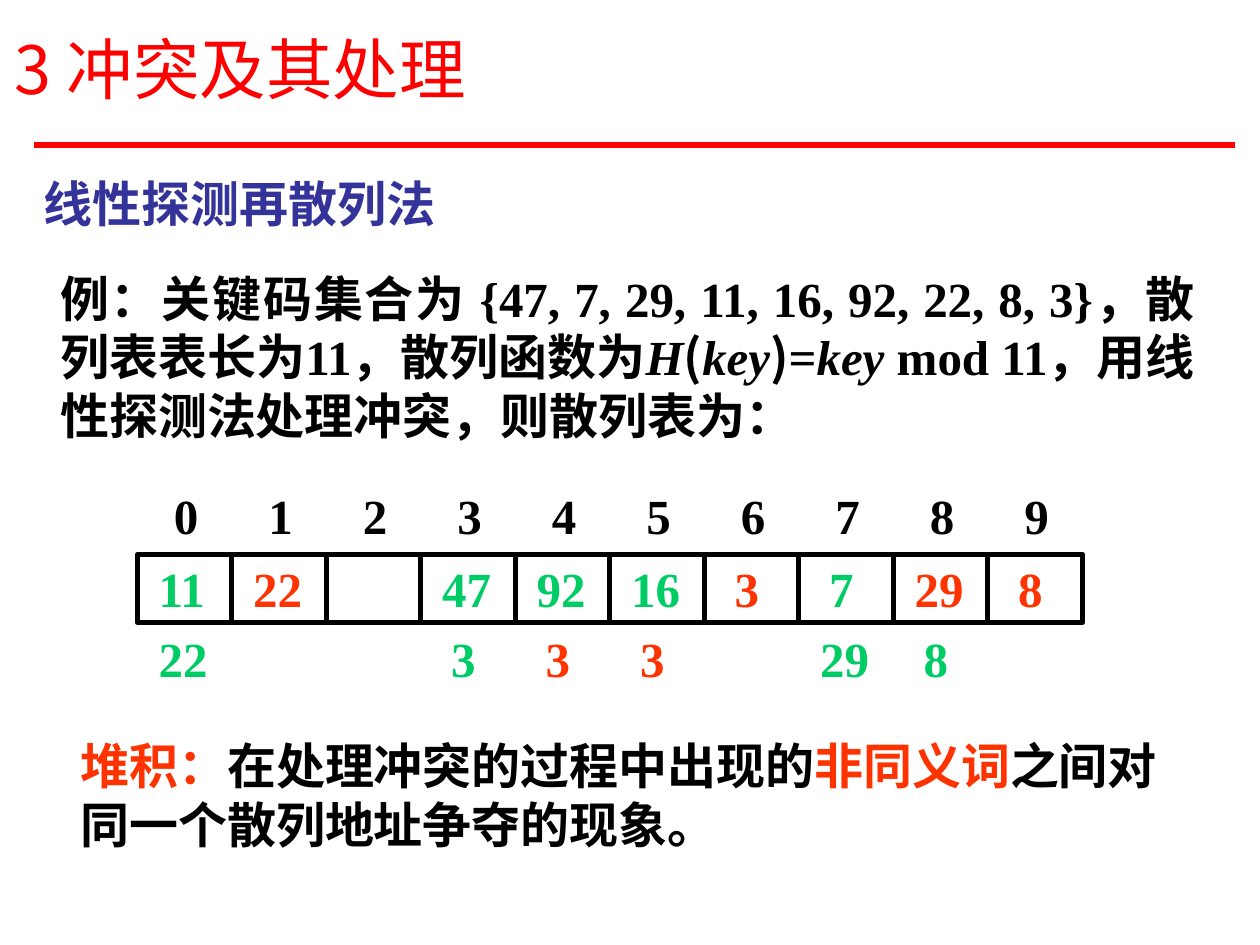
from lxml.etree import SubElement
from pptx import Presentation
from pptx.dml.color import RGBColor
from pptx.enum.shapes import MSO_CONNECTOR, MSO_SHAPE
from pptx.enum.text import MSO_ANCHOR, MSO_AUTO_SIZE, PP_ALIGN
from pptx.oxml.ns import qn
from pptx.util import Inches, Pt

COLORS = {"red": "FF0000", "navy": "333399", "black": "000000",
          "green": "00CC66", "orange": "FF3300"}
LATIN, CHINESE = "Times New Roman", "Noto Sans CJK SC"
BODY_SIZE, LINE_HEIGHT = 28, 33.6

# Runs: text, colour, font, italic
TITLE = [("3 冲突及其处理", "red", CHINESE, False)]
HEADING = [("线性探测再散列法", "navy", CHINESE, False)]
EXAMPLE = [
    ("例：关键码集合为 {47, 7, 29, 11, 16, 92, 22, 8, 3}，散列表表长为11，散列函",
     "black", LATIN, False),
    ("数为", "black", CHINESE, False),
    ("H", "black", LATIN, True),
    ("(", "black", CHINESE, False),
    ("key", "black", LATIN, True),
    (")", "black", CHINESE, False),
    ("=", "black", LATIN, False),
    ("key", "black", LATIN, True),
    (" mod 11", "black", LATIN, False),
    ("，用线性探测法处理冲突，则散列表为：", "black", CHINESE, False),
]
CLUSTERING = [
    ("堆积：", "orange", CHINESE, False),
    ("在处理冲突的过程中出现的", "black", LATIN, False),
    ("非同义词", "orange", LATIN, False),
    ("之间对", "black", LATIN, False),
    ("同一个散列地址争夺的现象", "black", CHINESE, False),
    ("。", "black", LATIN, False),
]

# Column: (value, colour)
STORED = {0: ("11", "green"), 1: ("22", "orange"), 3: ("47", "green"),
          4: ("92", "green"), 5: ("16", "green"), 6: ("3", "orange"),
          7: ("7", "green"), 8: ("29", "orange"), 9: ("8", "orange")}
COLLIDING = {0: ("22", "green"), 3: ("3", "green"), 4: ("3", "orange"),
             5: ("3", "orange"), 7: ("29", "green"), 8: ("8", "green")}

COLUMNS = 10
CELL_WIDTH, CELL_HEIGHT = 0.75, 0.54
TABLE_LEFT, TABLE_TOP = 1.09, 4.4
INDEX_TOP, STORED_TOP, COLLIDING_TOP = 3.85, 4.43, 4.99
DIGIT_WIDTH, VALUE_HEIGHT = 0.25, 0.47
INDEX_INDENT = 0.29
VALUE_INDENT = {1: 0.24, 2: 0.17}  # by number of digits


def color(name):
    return RGBColor.from_string(COLORS[name])


def add_text(slide, box, runs, size=BODY_SIZE, bold=True, margins=(0.1, 0.05),
             wrap=True, line_height=LINE_HEIGHT):
    """Add a one-paragraph text box made of styled runs and return it."""
    shape = slide.shapes.add_textbox(*map(Inches, box))
    frame = shape.text_frame
    frame.word_wrap = wrap
    frame.margin_left = frame.margin_right = Inches(margins[0])
    frame.margin_top = frame.margin_bottom = Inches(margins[1])
    paragraph = frame.paragraphs[0]
    if line_height:
        paragraph.line_spacing = Pt(line_height)
        frame.auto_size = MSO_AUTO_SIZE.SHAPE_TO_FIT_TEXT
    for text, color_name, font_name, italic in runs:
        run = paragraph.add_run()
        run.text = text
        run.font.size = Pt(size)
        run.font.bold = bold
        run.font.italic = italic
        run.font.name = font_name
        run.font.color.rgb = color(color_name)
        SubElement(run.font._element, qn("a:ea"), typeface=CHINESE)
    return shape


def add_rule(slide):
    rule = slide.shapes.add_connector(
        MSO_CONNECTOR.STRAIGHT, Inches(0.27), Inches(1.15), Inches(9.8), Inches(1.15))
    rule.line.color.rgb = color("red")
    rule.line.width = Pt(3)
    SubElement(rule._element.spPr, qn("a:effectLst"))


def add_cells(slide):
    for column in range(COLUMNS):
        cell = slide.shapes.add_shape(
            MSO_SHAPE.RECTANGLE, Inches(TABLE_LEFT + column * CELL_WIDTH),
            Inches(TABLE_TOP), Inches(CELL_WIDTH), Inches(CELL_HEIGHT))
        cell.shadow.inherit = False
        cell.fill.background()
        cell.line.color.rgb = color("black")
        cell.line.width = Pt(3)


def add_index_row(slide):
    """Write the column numbers as one line, with a tab stop per column."""
    numbers = "\t".join(str(column) for column in range(COLUMNS))
    shape = add_text(
        slide, (TABLE_LEFT, INDEX_TOP, COLUMNS * CELL_WIDTH, VALUE_HEIGHT),
        [(numbers, "black", LATIN, False)], margins=(0, 0))
    shape.text_frame.margin_left = Inches(INDEX_INDENT)
    properties = shape.text_frame.paragraphs[0]._p.get_or_add_pPr()
    tabs = SubElement(properties, qn("a:tabLst"))
    for column in range(1, COLUMNS):
        SubElement(tabs, qn("a:tab"), pos=str(Inches(column * CELL_WIDTH)), algn="l")


def add_values(slide, values, top):
    for column, (value, color_name) in values.items():
        left = TABLE_LEFT + column * CELL_WIDTH + VALUE_INDENT[len(value)]
        add_text(slide, (left, top, DIGIT_WIDTH * len(value), VALUE_HEIGHT),
                 [(value, color_name, LATIN, False)], margins=(0, 0), wrap=False)


def main():
    presentation = Presentation()
    presentation.slide_width, presentation.slide_height = Inches(10), Inches(7.5)
    slide = presentation.slides.add_slide(presentation.slide_layouts[6])

    add_rule(slide)
    title = add_text(slide, (0.02, 0, 9, 1.07), TITLE, size=38, bold=False,
                     line_height=None)
    title.text_frame.vertical_anchor = MSO_ANCHOR.MIDDLE
    add_text(slide, (0.25, 1.33, 5.83, 0.57), HEADING)
    example = add_text(slide, (0.38, 2.08, 9.2, 1.5), EXAMPLE)
    example.text_frame.paragraphs[0].alignment = PP_ALIGN.JUSTIFY

    add_cells(slide)
    add_index_row(slide)
    add_values(slide, STORED, STORED_TOP)
    add_values(slide, COLLIDING, COLLIDING_TOP)
    add_text(slide, (0.54, 5.79, 9.06, 1.04), CLUSTERING)
    presentation.save("out.pptx")


if __name__ == "__main__":
    main()
